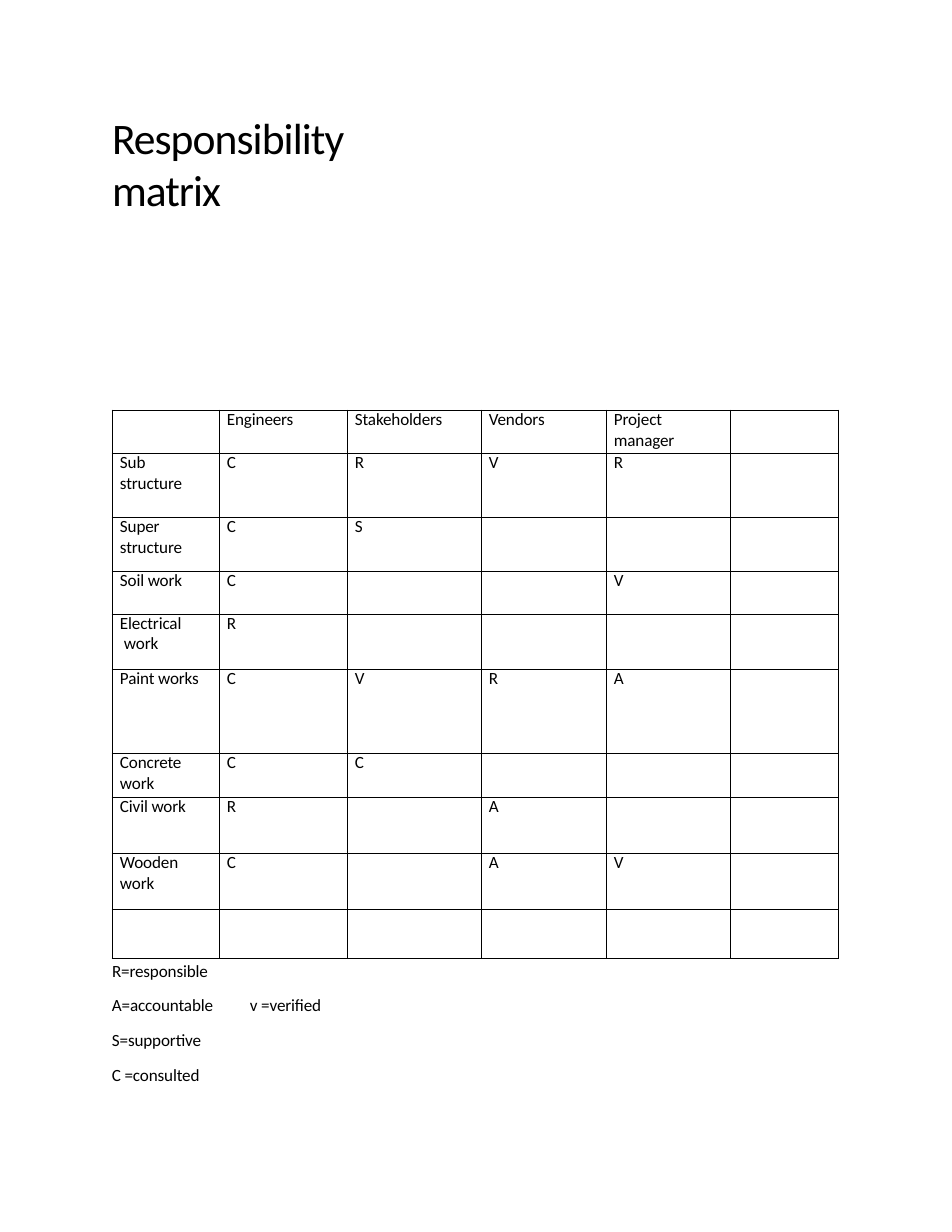
import pptx
import pptx.dml.color
import pptx.enum.text
import pptx.oxml
import pptx.oxml.ns
import pptx.util

SCALE = 914400 / 112
HEADINGS = ["", "Engineers", "Stakeholders", "Vendors", "Project\nmanager", ""]
TASKS = [
    ("Sub\nstructure", "C", "R", "V", "R", ""),
    ("Super\nstructure", "C", "S", "", "", ""),
    ("Soil work", "C", "", "", "V", ""),
    ("Electrical work", "R", "", "", "", ""),
    ("Paint works", "C", "V", "R", "A", ""),
    ("Concrete\nwork", "C", "C", "", "", ""),
    ("Civil work", "R", "", "A", "", ""),
    ("Wooden\nwork", "C", "", "A", "V", ""),
    ("", "", "", "", "", ""),
]
COLUMN_WIDTHS = [107, 128, 134, 125, 125, 108]
ROW_HEIGHTS = [43, 64, 54, 43, 55, 84, 44, 56, 56, 50]
LEGEND = [
    ("R=responsible", 111, 958, 101, 24),
    ("A=accountable", 111, 992, 106, 24),
    ("v =verified", 249, 992, 76, 24),
    ("S=supportive\nC =consulted", 111, 1027, 94, 59),
]


def px(length):
    return pptx.util.Emu(round(length * SCALE))


def color(value):
    return pptx.dml.color.RGBColor.from_string(value)


def write(frame, text, size=11, font="Calibri", ink="000000", tracking=-0.1,
          first_line=None, gap=0, indent=1, hanging=0):
    for index, line in enumerate(text.split("\n")):
        para = frame.paragraphs[0] if index == 0 else frame.add_paragraph()
        properties = para._p.get_or_add_pPr()
        properties.set("marL", str(px(indent + hanging)))
        properties.set("indent", str(px(-hanging)))
        if index:
            para.space_before = pptx.util.Pt(gap)
        elif first_line:
            para.line_spacing = pptx.util.Pt(first_line)
        span = para.add_run()
        span.text = line
        span.font.size = pptx.util.Pt(size)
        span.font.name = font
        span.font.color.rgb = color(ink)
        span._r.get_or_add_rPr().set("spc", str(round(tracking * 100)))


class Page:
    """Holds the style and the current slide, and adds elements to it."""

    def __init__(self, deck, border="000000", border_width=0.5):
        self.slide = deck.slides.add_slide(deck.slide_layouts[6])
        self.border = border
        self.border_width = pptx.util.Pt(border_width)

    def text(self, text, left, top, width, height, **style):
        box = self.slide.shapes.add_textbox(px(left), px(top), px(width), px(height))
        frame = box.text_frame
        frame.word_wrap = True
        frame.auto_size = pptx.enum.text.MSO_AUTO_SIZE.SHAPE_TO_FIT_TEXT
        frame.margin_left = frame.margin_right = frame.margin_bottom = 0
        frame.margin_top = px(2)
        write(frame, text, **style)

    def outline(self, cell):
        properties = cell._tc.get_or_add_tcPr()
        for index, side in enumerate(("lnL", "lnR", "lnT", "lnB")):
            properties.insert(index, pptx.oxml.parse_xml(
                f'<a:{side} {pptx.oxml.ns.nsdecls("a")} w="{self.border_width}">'
                f'<a:solidFill><a:srgbClr val="{self.border}"/></a:solidFill>'
                f'<a:prstDash val="solid"/></a:{side}>'))

    def table(self, rows, left, top, widths, heights):
        table = self.slide.shapes.add_table(
            len(rows), len(widths), px(left), px(top),
            px(sum(widths)), px(sum(heights))).table
        table.first_row = table.horz_banding = False
        for column, width in zip(table.columns, widths):
            column.width = px(width)
        for row, height, texts in zip(table.rows, heights, rows):
            row.height = px(height)
            for cell, text in zip(row.cells, texts):
                cell.margin_left = cell.margin_right = 0
                cell.margin_top = cell.margin_bottom = 0
                cell.fill.background()
                self.outline(cell)
                if text:
                    hanging = 4 if text.startswith("Electrical") else 0
                    write(cell.text_frame, text, first_line=12.9, gap=0.2,
                          indent=8, hanging=hanging)


def main():
    deck = pptx.Presentation()
    deck.slide_width, deck.slide_height = px(952), px(1232)
    page = Page(deck)
    page.text("Responsibility matrix", 111, 109, 349, 55, size=28, tracking=-0.6)
    page.table([HEADINGS, *TASKS], 112, 410, COLUMN_WIDTHS, ROW_HEIGHTS)
    for text, left, top, width, height in LEGEND:
        page.text(text, left, top, width, height, gap=9.4)
    deck.save("out.pptx")


if __name__ == "__main__":
    main()
